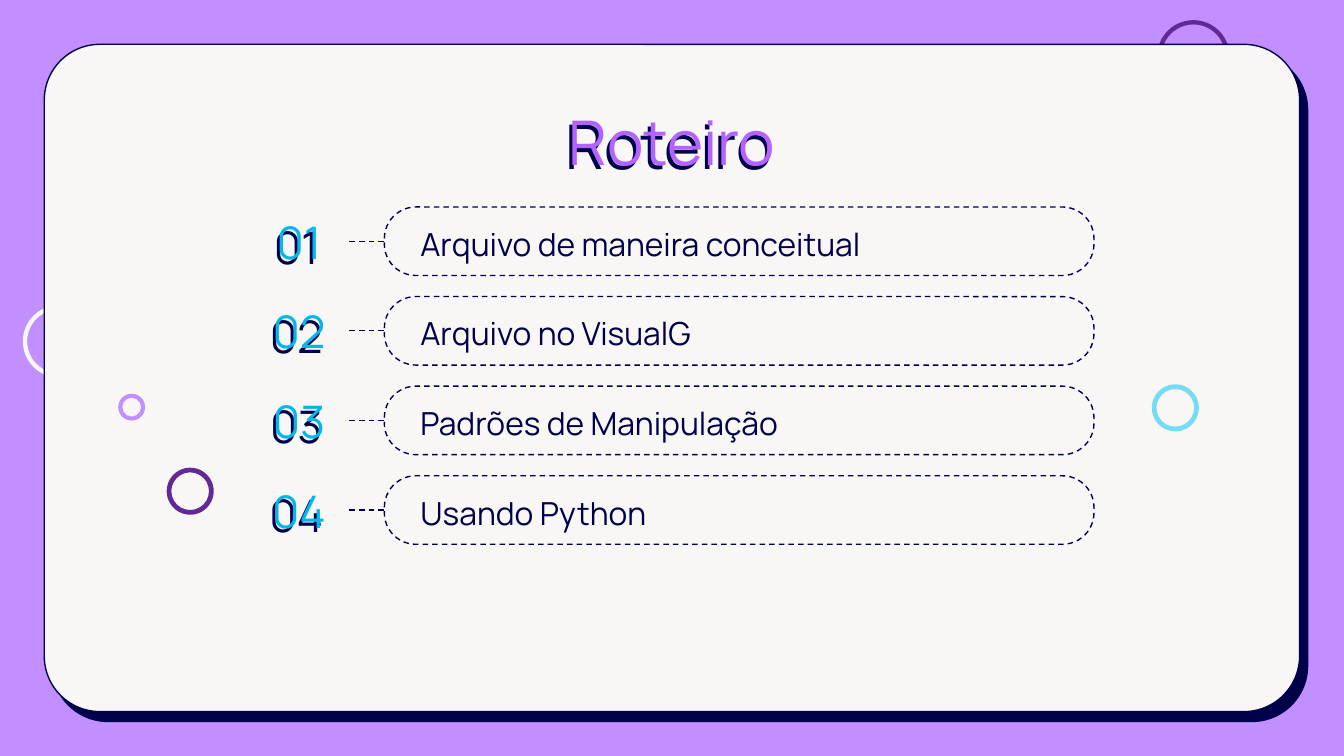
import pptx
import pptx.util
import pptx.dml.color
import pptx.enum.dml
import pptx.enum.shapes
import pptx.enum.text
import pptx.oxml
import pptx.oxml.ns

# Content
HEADING = "Roteiro"
TOPICS = [
    "Arquivo de maneira conceitual",
    "Arquivo no VisualG",
    "Padrões de Manipulação",
    "Usando Python",
]

COLORS = {
    "lilac": "C18FFF", "paper": "F8F7F5", "navy": "00004A", "plum": "622996",
    "violet": "B563FF", "blue": "03B7EC", "aqua": "74DDF3",
}
FONT = "Manrope"

# Rings: left, top, diameter, thickness ratio, colour
RINGS_BEHIND = [(8.61, 0.15, 0.54, 0.06, "plum"), (0.17, 2.27, 0.54, 0.06, "paper")]
RINGS_FRONT = [
    (1.24, 3.48, 0.35, 0.1, "plum"),
    (8.57, 2.86, 0.35, 0.1, "aqua"),
    (0.88, 2.93, 0.2, 0.15, "lilac"),
]

# Grid in inches: columns as (left, width), rows at an equal pitch
WIDTH = 10
HEIGHT = WIDTH * 9 / 16
MARGIN = 0.33
NUMBER_COL, PILL_COL, TOPIC_COL = (1.85, 0.75), (2.86, 5.28), (3.03, 4.96)
FIRST_ROW, ROW_PITCH = 1.54, 2 / 3
PILL_HEIGHT, TEXT_HEIGHT = 0.51, 0.52

SHAPE = pptx.enum.shapes.MSO_SHAPE
ALIGN = pptx.enum.text.PP_ALIGN
ANCHOR = pptx.enum.text.MSO_ANCHOR


def inches(*lengths):
    return [pptx.util.Inches(length) for length in lengths]


def color(name):
    return pptx.dml.color.RGBColor.from_string(COLORS[name])


def outline(line, dashed=False):
    line.color.rgb = color("navy")
    line.width = pptx.util.Pt(0.75)
    if dashed:
        line.dash_style = pptx.enum.dml.MSO_LINE.DASH


def set_shadow(shape, distance=None, degrees=0):
    """Give the shape a hard navy shadow, or none when distance is missing."""
    shadow = ""
    if distance:
        shadow = (
            f'<a:outerShdw blurRad="0" dist="{pptx.util.Pt(distance)}" '
            f'dir="{degrees * 60000}" algn="bl" rotWithShape="0">'
            f'<a:srgbClr val="{COLORS["navy"]}"/></a:outerShdw>'
        )
    shape._element.spPr.append(pptx.oxml.parse_xml(
        f'<a:effectLst {pptx.oxml.ns.nsdecls("a")}>{shadow}</a:effectLst>'))


def add_text(text, box, size, ink, align=ALIGN.LEFT, anchor=ANCHOR.TOP, shadow=False):
    label = slide.shapes.add_textbox(*inches(*box))
    frame = label.text_frame
    frame.word_wrap = True
    frame.vertical_anchor = anchor
    frame.margin_left = frame.margin_right = pptx.util.Inches(0.1)
    frame.margin_top = frame.margin_bottom = pptx.util.Inches(0.1)
    paragraph = frame.paragraphs[0]
    paragraph.alignment = align
    run = paragraph.add_run()
    run.text = text
    run.font.name = FONT
    run.font.size = pptx.util.Pt(size)
    run.font.color.rgb = color(ink)
    if shadow:
        set_shadow(label, distance=3, degrees=120)
    return label


def add_panel(kind, box, fill, ratio):
    panel = slide.shapes.add_shape(kind, *inches(*box))
    panel.adjustments[0] = ratio
    panel.fill.solid()
    panel.fill.fore_color.rgb = color(fill)
    panel.line.fill.background()
    return panel


def add_rings(rings):
    for left, top, diameter, ratio, fill in rings:
        ring = add_panel(SHAPE.DONUT, (left, top, diameter, diameter), fill, ratio)
        ring.shadow.inherit = False


deck = pptx.Presentation()
deck.slide_width, deck.slide_height = inches(WIDTH, HEIGHT)
slide = deck.slides.add_slide(deck.slide_layouts[6])
slide.background.fill.solid()
slide.background.fill.fore_color.rgb = color("lilac")

# Card with the rings that peek out behind it
add_rings(RINGS_BEHIND)
card = add_panel(SHAPE.ROUNDED_RECTANGLE,
                 (MARGIN, MARGIN, WIDTH - 2 * MARGIN, HEIGHT - 2 * MARGIN),
                 "paper", 1 / 12)
outline(card.line)
set_shadow(card, distance=6.8, degrees=51)

# Heading and rings on the card
add_text(HEADING, (0.78, 0.67, 8.44, 0.67), size=33, ink="violet",
         align=ALIGN.CENTER, shadow=True)
add_rings(RINGS_FRONT)

# Numbered topics
for index, topic in enumerate(TOPICS):
    pill_top = FIRST_ROW + index * ROW_PITCH
    text_top = pill_top - (TEXT_HEIGHT - PILL_HEIGHT) / 2
    pill = add_panel(SHAPE.ROUNDED_RECTANGLE,
                     (PILL_COL[0], pill_top, PILL_COL[1], PILL_HEIGHT), "paper", 0.46)
    pill.shadow.inherit = False
    outline(pill.line, dashed=True)
    number = add_text(f"{index + 1:02}", (NUMBER_COL[0], text_top, NUMBER_COL[1], TEXT_HEIGHT),
                      size=24, ink="blue", align=ALIGN.CENTER, anchor=ANCHOR.MIDDLE, shadow=True)
    add_text(topic, (TOPIC_COL[0], text_top, TOPIC_COL[1], TEXT_HEIGHT),
             size=17, ink="navy", anchor=ANCHOR.BOTTOM)
    link = slide.shapes.add_connector(pptx.enum.shapes.MSO_CONNECTOR.STRAIGHT, 0, 0, 0, 0)
    link.begin_connect(number, 3)
    link.end_connect(pill, 1)
    outline(link.line, dashed=True)
    set_shadow(link)

deck.save("out.pptx")
